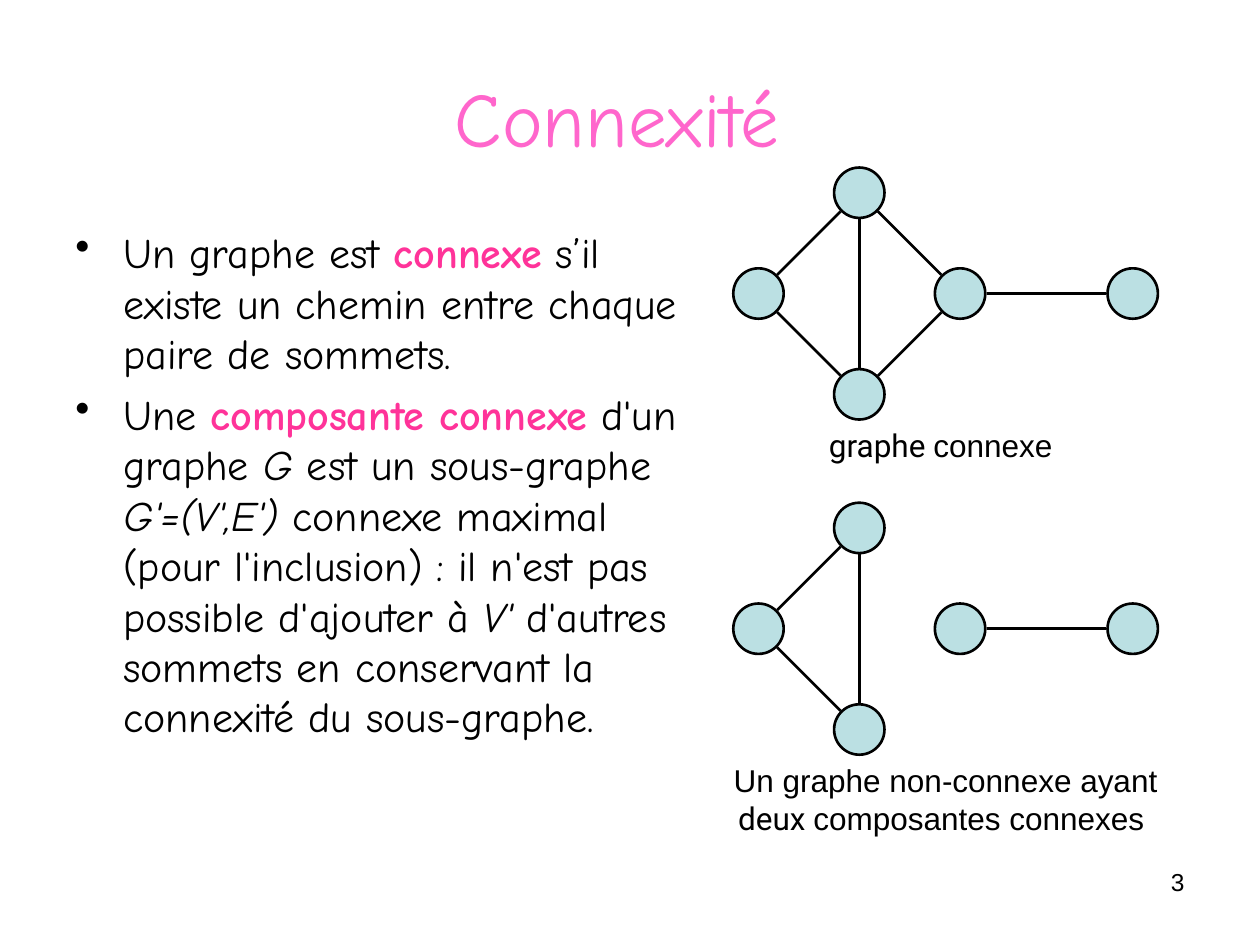
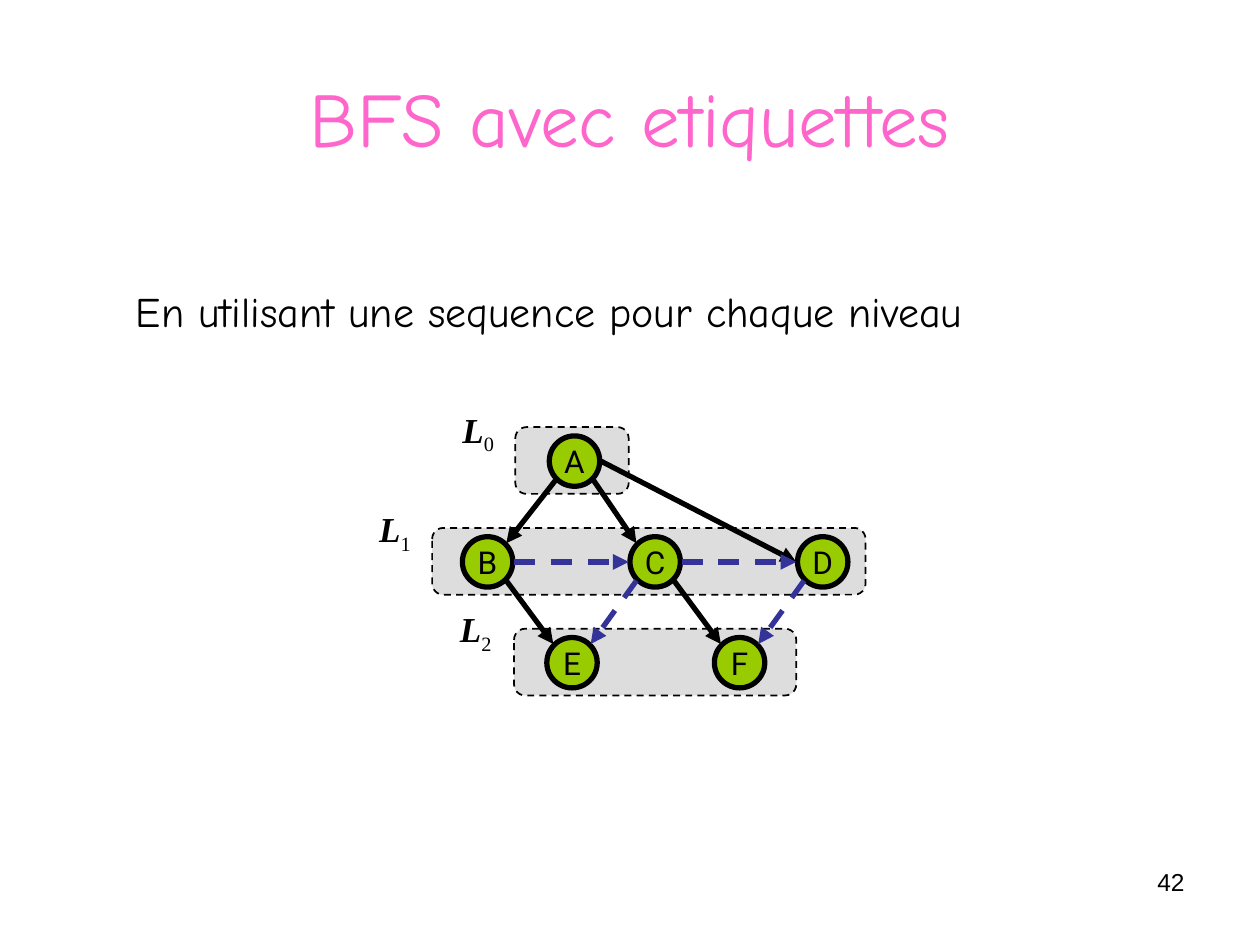
import math

from lxml import etree
from pptx import Presentation
from pptx import util as u
from pptx.dml.color import RGBColor
from pptx.enum import dml, shapes, text
from pptx.oxml import ns

COLORS = {
    "ink": "000000",
    "title": "FF66CC",
    "key": "FF3399",
    "vertex": "BBE0E3",
    "visited": "99CC00",
    "cross": "333399",
    "level": "DDDDDD",
}
BASE = {"name": "Arial", "size": 18, "bold": False, "italic": False, "color": "ink"}
COMIC = {"name": "Comic Neue", "size": 24}
ROBOTO = {"name": "Roboto"}
TIMES = {"name": "Times New Roman", "size": 20}
KEY = {"bold": True, "color": "key"}
ITALIC = {"italic": True}
LEFT, CENTER, RIGHT = (text.PP_ALIGN.LEFT, text.PP_ALIGN.CENTER, text.PP_ALIGN.RIGHT)
MIDDLE = text.MSO_ANCHOR.MIDDLE
DIAMETER = 0.4
REACH = 0.21


def rgb(name):
    return RGBColor.from_string(COLORS[name])


def inches(*values):
    return [u.Inches(v) for v in values]


def toward(point, angle, distance):
    x, y = point
    return x + distance * math.cos(angle), y + distance * math.sin(angle)


class Deck:
    def __init__(self):
        self.prs = Presentation()
        self.prs.slide_width, self.prs.slide_height = inches(10, 7.5)
        self.s = None

    def slide(self, title, number):
        self.s = self.prs.slides.add_slide(self.prs.slide_layouts[6])
        self.text((0.5, 0.3, 9, 1.25), [[(title, {"size": 44, "color": "title"})]],
                  COMIC, CENTER, vertical_anchor=MIDDLE)
        self.text((7.17, 6.83, 2.33, 0.52), [[(str(number), {"size": 14})]], align=RIGHT)

    def fill_text(self, tf, paragraphs, style=None, align=LEFT, bullets=False, **frame):
        for name, value in {"word_wrap": True, **frame}.items():
            setattr(tf, name, value)
        for i, runs in enumerate(paragraphs):
            p = tf.add_paragraph() if i else tf.paragraphs[0]
            p.alignment = align
            if bullets:
                self.bullet(p)
            if i:
                p.space_before = u.Pt(6)
            for words, changes in runs:
                self.run(p, words, {**BASE, **(style or {}), **changes})

    def bullet(self, p):
        pPr = p._p.get_or_add_pPr()
        indent = u.Inches(0.38)
        pPr.set("marL", str(indent))
        pPr.set("indent", str(-indent))
        etree.SubElement(pPr, ns.qn("a:buChar"), char="•")

    def run(self, p, words, style):
        r = p.add_run()
        r.text = words
        values = {**style, "size": u.Pt(style["size"])}
        r.font.color.rgb = rgb(values.pop("color"))
        baseline = values.pop("baseline", None)
        for name, value in values.items():
            setattr(r.font, name, value)
        if baseline:
            r._r.get_or_add_rPr().set("baseline", str(baseline))

    def text(self, box, paragraphs, style=None, align=LEFT, **options):
        sp = self.s.shapes.add_textbox(*inches(*box))
        self.fill_text(sp.text_frame, paragraphs, style, align, **options)

    def shape(self, kind, box, fill, width):
        sp = self.s.shapes.add_shape(kind, *inches(*box))
        sp.shadow.inherit = False
        sp.fill.solid()
        sp.fill.fore_color.rgb = rgb(fill)
        sp.line.color.rgb = rgb("ink")
        sp.line.width = u.Pt(width)
        return sp

    def node(self, center, fill, width, label=None):
        x, y = center
        box = (x - DIAMETER / 2, y - DIAMETER / 2, DIAMETER, DIAMETER)
        sp = self.shape(shapes.MSO_SHAPE.OVAL, box, fill, width)
        if label:
            self.fill_text(sp.text_frame, [[(label, ROBOTO)]], align=CENTER,
                           word_wrap=False, vertical_anchor=MIDDLE)

    def level(self, left, y, width):
        sp = self.shape(shapes.MSO_SHAPE.ROUNDED_RECTANGLE,
                        (left, y - 0.27, width, 0.53), "level", 1)
        sp.line.dash_style = dml.MSO_LINE.DASH

    def edge(self, start, end, width, color="ink", dashed=False, arrow=False, leave=None):
        step = math.pi / 4
        slope = math.atan2(end[1] - start[1], end[0] - start[0])
        angle = round(slope / step) * step
        begin = toward(start, angle if leave is None else leave, REACH)
        finish = toward(end, angle, -REACH)
        c = self.s.shapes.add_connector(shapes.MSO_CONNECTOR.STRAIGHT,
                                        *inches(*begin, *finish))
        c.line.color.rgb = rgb(color)
        c.line.width = u.Pt(width)
        if dashed:
            c.line.dash_style = dml.MSO_LINE.DASH
        if arrow:
            ln = c._element.spPr.find(ns.qn("a:ln"))
            etree.SubElement(ln, ns.qn("a:tailEnd"), type="triangle")
        etree.SubElement(c._element.spPr, ns.qn("a:effectLst"))


def draw_graph(deck, y, edges):
    vertices = {
        "left": (6.02, y),
        "top": (6.82, y - 0.8),
        "bottom": (6.82, y + 0.8),
        "right": (7.62, y),
        "far": (8.99, y),
    }
    for center in vertices.values():
        deck.node(center, "vertex", 1.5)
    for a, b in edges:
        deck.edge(vertices[a], vertices[b], 1.5)


def connectivity(deck):
    deck.slide("Connexité ", 3)
    deck.text((0.5, 1.75, 5.01, 4.95), [
        [("Un graphe est ", {}), ("connexe", KEY),
         (" s’il existe un chemin entre chaque paire de sommets.", {})],
        [("Une ", {}), ("composante connexe", KEY), (" d'un graphe ", {}),
         ("G", ITALIC), (" est un sous-graphe ", {}), ("G'=(V',E')", ITALIC),
         (" connexe maximal (pour l'inclusion) : il n'est pas possible d'ajouter à ", {}),
         ("V'", ITALIC),
         (" d'autres sommets en conservant la connexité du sous-graphe.", {})],
    ], COMIC, bullets=True)
    shared = [("top", "left"), ("bottom", "left"), ("top", "bottom"), ("right", "far")]
    draw_graph(deck, 2.33, shared + [("bottom", "right"), ("top", "right")])
    deck.text((5.94, 3.33, 3.12, 0.4),
              [[("graphe ", ROBOTO), ("connexe ", {})]], align=CENTER)
    draw_graph(deck, 4.99, shared)
    deck.text((5.51, 5.99, 3.99, 0.7),
              [[("Un graphe non-connexe ayant", {}), (" deux ", ROBOTO),
                ("composantes connexes ", {})]], align=CENTER)


def labelled_bfs(deck):
    deck.slide("BFS avec etiquettes", 42)
    deck.text((0.98, 2.22, 6.77, 0.5),
              [[("En utilisant une sequence pour chaque niveau", {})]],
              COMIC, word_wrap=False)
    rows = [3.66 + 0.8 * i for i in range(3)]
    levels = [(4.09, 0.9, 3.54), (3.43, 3.44, 2.88), (4.08, 2.24, 3.52)]
    for i, (left, width, label_left) in enumerate(levels):
        deck.level(left, rows[i], width)
        deck.text((label_left, 3.19 + 0.79 * i, 0.51, 0.48),
                  [[("L", {"bold": True, "italic": True}), (str(i), {"baseline": -25000})]],
                  TIMES, CENTER)
    nodes = {"A": (4.56, rows[0])}
    for names, left, y in (("BCD", 3.87, rows[1]), ("EF", 4.54, rows[2])):
        nodes.update({name: (left + 1.33 * i, y) for i, name in enumerate(names)})
    for name, center in nodes.items():
        deck.node(center, "visited", 3, name)
    for a, b in ("AB", "AC", "BE", "CF"):
        deck.edge(nodes[a], nodes[b], 3, arrow=True)
    deck.edge(nodes["A"], nodes["D"], 3, arrow=True, leave=0)
    for a, b in ("BC", "CD", "CE", "DF"):
        deck.edge(nodes[a], nodes[b], 3, "cross", dashed=True, arrow=True)


def main():
    deck = Deck()
    connectivity(deck)
    labelled_bfs(deck)
    deck.prs.save("out.pptx")


if __name__ == "__main__":
    main()
